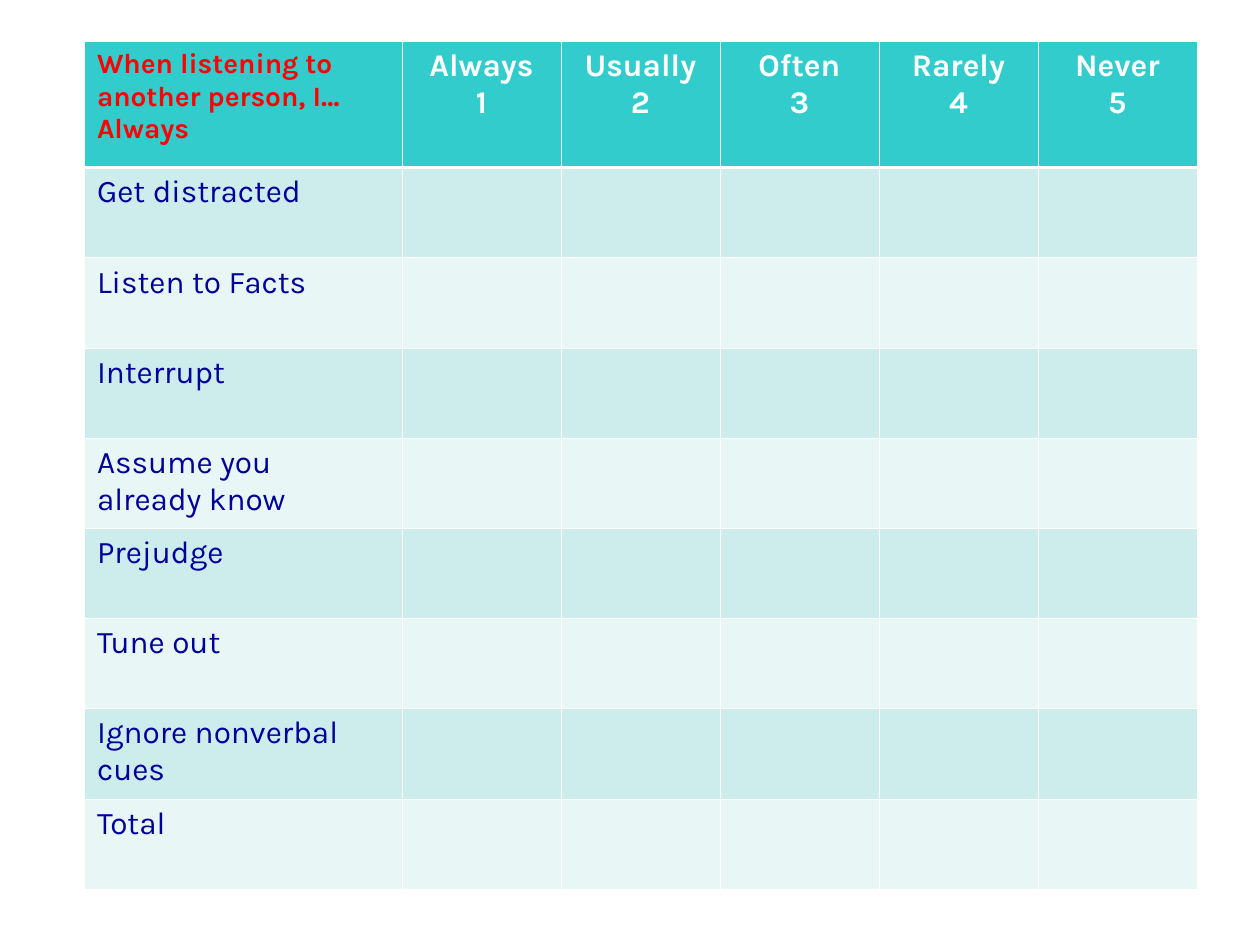
from dataclasses import dataclass
from lxml.etree import SubElement as Sub
from pptx import Presentation as Deck
from pptx.dml.color import RGBColor as RGB
from pptx.enum.text import PP_ALIGN as Align
from pptx.oxml.ns import qn
from pptx.table import _Cell as Cell
from pptx.util import Inches, Pt

HUES = {
    "head": "33CCCC",
    "dark": "CDECEC",
    "light": "E8F6F6",
    "white": "FFFFFF",
    "red": "FF0000",
    "navy": "010199",
}
THIN, THICK = 0.45, 1.47
HEAD, ROW = 1.0, 0.716
WIDE, SLIM = 2.52, 1.262
RATES = ["Always", "Usually", "Often", "Rarely", "Never"]
HABITS = [
    "Get distracted",
    "Listen to Facts",
    "Interrupt",
    "Assume you\nalready know",
    "Prejudge",
    "Tune out",
    "Ignore nonverbal cues",
    "Total",
]


@dataclass
class Style:
    hue: str
    size: int = 18
    bold: bool = False
    align: Align = Align.LEFT


TITLE = Style("red", 16, True)
RATE = Style("white", 18, True, Align.CENTER)
HABIT = Style("navy")


def write(cell: Cell, text: str, style: Style) -> None:
    cell.text = text
    form = {"name": "Karla", "size": Pt(style.size), "bold": style.bold}
    for para in cell.text_frame.paragraphs:
        para.alignment = style.align
        for run in para.runs:
            for key, value in form.items():
                setattr(run.font, key, value)
            run.font.color.rgb = RGB.from_string(HUES[style.hue])


def edge(cell: Cell, top: float, base: float) -> None:
    props = cell._tc.get_or_add_tcPr()
    sides = {"lnL": THIN, "lnR": THIN, "lnT": top, "lnB": base}
    for at, (side, width) in enumerate(sides.items()):
        line = Sub(props, qn(f"a:{side}"), w=str(int(Pt(width))))
        fill = Sub(line, qn("a:solidFill"))
        Sub(fill, qn("a:srgbClr"), val=HUES["white"])
        props.insert(at, line)


def paint(cell: Cell, row: int) -> None:
    hue = "head" if row == 0 else "dark" if row % 2 else "light"
    cell.fill.solid()
    cell.fill.fore_color.rgb = RGB.from_string(HUES[hue])
    edge(cell, THICK if row == 1 else THIN, THICK if row == 0 else THIN)


def main() -> None:
    deck = Deck()
    deck.slide_width, deck.slide_height = Inches(10), Inches(7.5)
    slide = deck.slides.add_slide(deck.slide_layouts[6])
    rows, cols = len(HABITS) + 1, len(RATES) + 1
    width = WIDE + SLIM * len(RATES)
    height = HEAD + ROW * len(HABITS)
    place = [Inches(n) for n in (0.67, 0.33, width, height)]
    grid = slide.shapes.add_table(rows, cols, *place).table

    for at, col in enumerate(grid.columns):
        col.width = Inches(SLIM if at else WIDE)
    for at, row in enumerate(grid.rows):
        row.height = Inches(ROW if at else HEAD)
        for cell in row.cells:
            paint(cell, at)

    write(grid.cell(0, 0), "When listening to another person, I…\nAlways", TITLE)
    for at, rate in enumerate(RATES, 1):
        write(grid.cell(0, at), f"{rate}\n{at}", RATE)
    for at, habit in enumerate(HABITS, 1):
        write(grid.cell(at, 0), habit, HABIT)
    deck.save("out.pptx")


if __name__ == "__main__":
    main()
